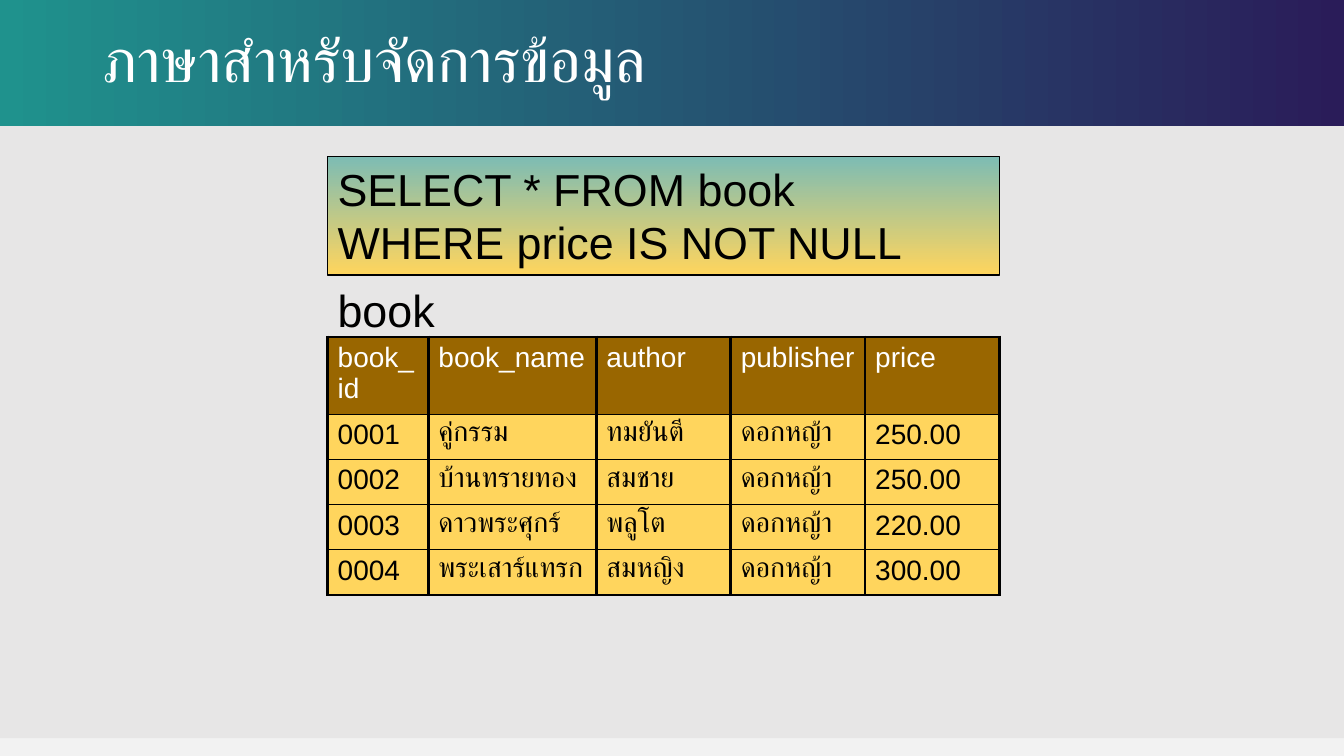
from dataclasses import dataclass

from lxml import etree
from pptx import Presentation
from pptx.dml.color import RGBColor
from pptx.enum.shapes import MSO_SHAPE
from pptx.enum.text import MSO_ANCHOR, PP_ALIGN
from pptx.oxml.ns import qn
from pptx.shapes.autoshape import Shape
from pptx.slide import Slide
from pptx.table import _Cell
from pptx.text.text import TextFrame
from pptx.util import Emu, Pt

RECTANGLE = MSO_SHAPE.RECTANGLE
TOP, MIDDLE = MSO_ANCHOR.TOP, MSO_ANCHOR.MIDDLE
LEFT = PP_ALIGN.LEFT

PX = 9525
THIN, THICK = 1, 2.25

BLACK = RGBColor(0x00, 0x00, 0x00)
WHITE = RGBColor(0xFF, 0xFF, 0xFF)
PAGE = RGBColor(0xF2, 0xF2, 0xF2)
PANEL = RGBColor(0xE7, 0xE6, 0xE6)
TEAL = RGBColor(0x1F, 0x92, 0x8D)
INDIGO = RGBColor(0x2A, 0x1C, 0x59)
MINT = RGBColor(0x7D, 0xBC, 0xB4)
YELLOW = RGBColor(0xFF, 0xD5, 0x5D)
BROWN = RGBColor(0x99, 0x66, 0x00)

COLUMN_WIDTHS = (96, 160, 128, 128, 128)
HEADER_HEIGHT, ROW_HEIGHT = 48, 43
BOOKS = (
    ("book_id", "book_name", "author", "publisher", "price"),
    ("0001", "คู่กรรม", "ทมยันตี", "ดอกหญ้า", "250.00"),
    ("0002", "บ้านทรายทอง", "สมชาย", "ดอกหญ้า", "250.00"),
    ("0003", "ดาวพระศุกร์", "พลูโต", "ดอกหญ้า", "220.00"),
    ("0004", "พระเสาร์แทรก", "สมหญิง", "ดอกหญ้า", "300.00"),
)


@dataclass(frozen=True)
class Box:
    left: int
    top: int
    width: int
    height: int

    def emu(self) -> tuple[Emu, ...]:
        lengths = (self.left, self.top, self.width, self.height)
        return tuple(Emu(length * PX) for length in lengths)


@dataclass(frozen=True)
class TextStyle:
    font: str
    size: int
    color: RGBColor
    line_spacing: float = 1.0


TITLE = TextStyle("Calibri", 44, WHITE, 0.9)
QUERY = TextStyle("Arial", 32, BLACK)
HEADER = TextStyle("Arial", 20, WHITE)
BODY = TextStyle("Arial", 20, BLACK)


def write(tf: TextFrame, text: str, style: TextStyle) -> None:
    tf.word_wrap = True
    tf.text = text
    for p in tf.paragraphs:
        p.alignment = LEFT
        p.line_spacing = style.line_spacing
        p.font.name = style.font
        p.font.size = Pt(style.size)
        p.font.color.rgb = style.color


def add_text(s: Slide, box: Box, text: str, style: TextStyle,
             anchor: MSO_ANCHOR) -> None:
    tf = s.shapes.add_textbox(*box.emu()).text_frame
    tf.vertical_anchor = anchor
    write(tf, text, style)


def add_rect(s: Slide, box: Box) -> Shape:
    sp = s.shapes.add_shape(RECTANGLE, *box.emu())
    sp.shadow.inherit = False
    sp.line.fill.background()
    return sp


def add_gradient(s: Slide, box: Box, start: RGBColor, end: RGBColor,
                 angle: int) -> Shape:
    sp = add_rect(s, box)
    sp.fill.gradient()
    sp.fill.gradient_angle = angle
    for stop, color in zip(sp.fill.gradient_stops, (start, end)):
        stop.color.rgb = color
    return sp


def set_borders(cell: _Cell, top: float, bottom: float) -> None:
    tcPr = cell._tc.get_or_add_tcPr()
    sides = (("L", THICK), ("R", THICK), ("T", top), ("B", bottom))
    for i, (side, width) in enumerate(sides):
        ln = etree.Element(qn(f"a:ln{side}"), w=str(int(Pt(width))))
        fill = etree.SubElement(ln, qn("a:solidFill"))
        etree.SubElement(fill, qn("a:srgbClr"), val=str(BLACK))
        tcPr.insert(i, ln)


def add_book_table(s: Slide, left: int, top: int) -> None:
    last = len(BOOKS) - 1
    box = Box(left, top, sum(COLUMN_WIDTHS), HEADER_HEIGHT + last * ROW_HEIGHT)
    table = s.shapes.add_table(len(BOOKS), len(COLUMN_WIDTHS), *box.emu()).table
    table.first_row = False
    table.horz_banding = False
    for column, width in zip(table.columns, COLUMN_WIDTHS):
        column.width = Emu(width * PX)
    for r, values in enumerate(BOOKS):
        is_header = r == 0
        table.rows[r].height = Emu((HEADER_HEIGHT if is_header else ROW_HEIGHT) * PX)
        for c, value in enumerate(values):
            cell = table.cell(r, c)
            write(cell.text_frame, value, HEADER if is_header else BODY)
            set_borders(cell, THICK if is_header else THIN,
                        THICK if r == last else THIN)
            cell.fill.solid()
            cell.fill.fore_color.rgb = BROWN if is_header else YELLOW


def main() -> None:
    prs = Presentation()
    prs.slide_width, prs.slide_height = Emu(1280 * PX), Emu(720 * PX)
    s = prs.slides.add_slide(prs.slide_layouts[6])
    s.background.fill.solid()
    s.background.fill.fore_color.rgb = PAGE

    panel = add_rect(s, Box(0, 0, 1280, 703))
    panel.fill.solid()
    panel.fill.fore_color.rgb = PANEL
    add_gradient(s, Box(0, 0, 1280, 120), TEAL, INDIGO, 0)
    add_text(s, Box(88, 0, 1104, 120), "ภาษาสำหรับจัดการข้อมูล", TITLE, MIDDLE)

    add_text(s, Box(312, 265, 128, 60), "book", QUERY, TOP)
    add_book_table(s, 312, 321)

    query = add_gradient(s, Box(312, 149, 640, 113), MINT, YELLOW, 270)
    query.line.color.rgb = BLACK
    query.line.width = Pt(THIN)
    query.text_frame.vertical_anchor = TOP
    write(query.text_frame, "SELECT * FROM book\nWHERE price IS NOT NULL", QUERY)

    prs.save("out.pptx")


if __name__ == "__main__":
    main()
